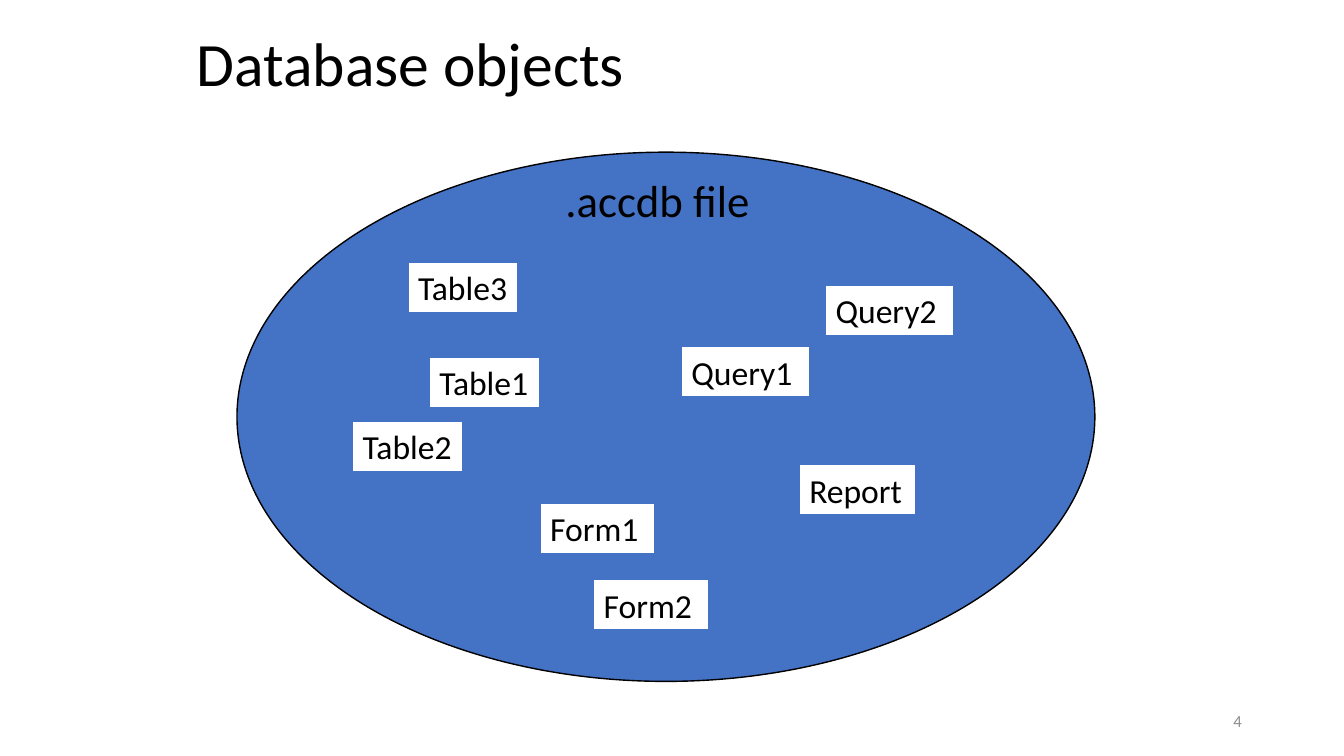
from pptx import Presentation
from pptx.dml.color import RGBColor
from pptx.enum.shapes import MSO_SHAPE
from pptx.enum.text import MSO_ANCHOR, PP_ALIGN
from pptx.util import Inches, Pt

HEX = {"black": "000000", "blue": "4472C4", "white": "FFFFFF", "gray": "8C8C8C"}
deck = Presentation()
deck.slide_width, deck.slide_height = Inches(13.333), Inches(7.5)
slide = deck.slides.add_slide(deck.slide_layouts[6])


def draw(box, kind=None, fill="white", line="blue"):
    """Add a preset shape, or a text box; box is in percent of the slide."""
    sides = (deck.slide_width, deck.slide_height) * 2
    area = [int(side * part / 100) for side, part in zip(sides, box)]
    if kind is None:
        return slide.shapes.add_textbox(*area)
    shape = slide.shapes.add_shape(kind, *area)
    shape.shadow.inherit = False
    shape.fill.solid()
    shape.fill.fore_color.rgb = RGBColor.from_string(HEX[fill])
    shape.line.color.rgb = RGBColor.from_string(HEX[line])
    shape.line.width = Pt(1)
    return shape


def write(shape, text, size, color="black", anchor=MSO_ANCHOR.TOP, align=PP_ALIGN.LEFT):
    """Put one styled paragraph into a shape."""
    frame = shape.text_frame
    frame.word_wrap = True
    frame.vertical_anchor = anchor
    par = frame.paragraphs[0]
    par.text = text
    par.alignment = align
    par.font.name = "Calibri"
    par.font.size = Pt(size)
    par.font.color.rgb = RGBColor.from_string(HEX[color])
    return frame


# Title
title = draw((13.88, 1.33, 66.3, 15.07))
write(title, "Database objects", 44, anchor=MSO_ANCHOR.MIDDLE).paragraphs[0].line_spacing = 0.9

# Database file
draw((17.63, 20.13, 63.83, 70), MSO_SHAPE.OVAL, "blue", "black")
write(draw((41.33, 22.13, 20.03, 8.53)), ".accdb file", 32)

# Objects in the file: left and top by name, width by kind
wide = {"Table": 8.18, "Form": 8.55, "Query": 9.53, "Report": 8.63}
items = {
    "Table1": (31.95, 47.2),
    "Form1": (40.2, 66.53),
    "Query1": (50.7, 45.87),
    "Report": (59.48, 61.47),
    "Table2": (26.25, 55.73),
    "Table3": (30.38, 34.67),
    "Query2": (61.43, 37.73),
    "Form2": (44.18, 76.67),
}
for name, (left, top) in items.items():
    label = draw((left, top, wide[name.rstrip("123")], 6.67), MSO_SHAPE.RECTANGLE)
    write(label, name, 24).margin_right = 0

# Slide number
number = draw((70.65, 92.67, 22.5, 5.33))
write(number, "4", 12, "gray", MSO_ANCHOR.MIDDLE, PP_ALIGN.RIGHT)

deck.save("out.pptx")
